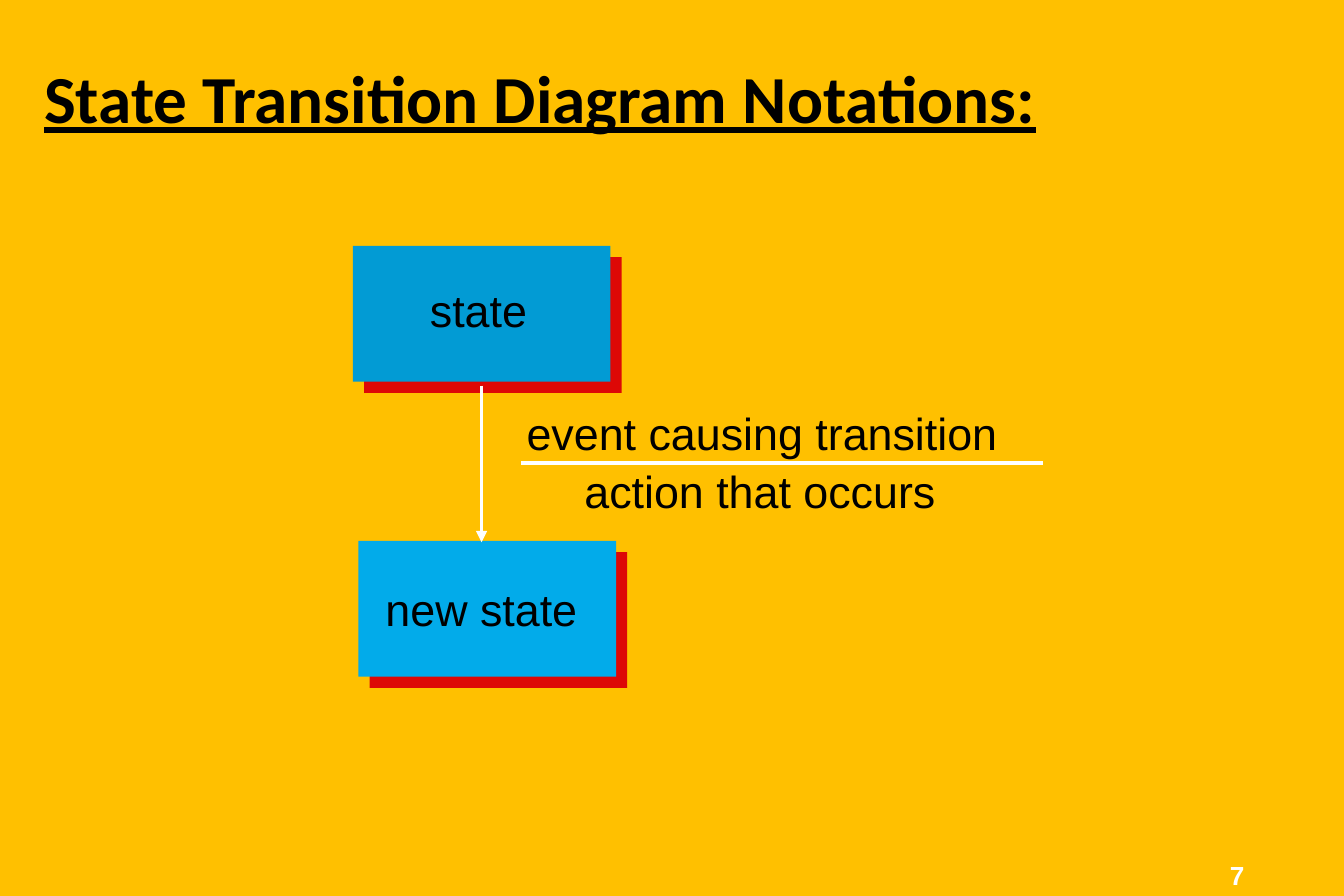
from pptx import Presentation
from pptx.dml.color import RGBColor
from pptx.enum.shapes import MSO_CONNECTOR, MSO_SHAPE
from pptx.enum.text import MSO_ANCHOR
from pptx.oxml import parse_xml
from pptx.oxml.ns import nsdecls
from pptx.util import Inches, Pt

WIDE, HIGH = Pt(720), Pt(480)
CELL = 0.1  # side of one grid cell, inches; the slide is 100 cells wide
BLACK, WHITE, RED = "000000", "FFFFFF", "DD0806"
LABEL = {"name": "Arial", "size": Pt(24)}
TITLE = {"name": "Calibri", "size": Pt(36), "bold": True, "underline": True}
PAGE = {"name": "Arial", "size": Pt(14), "bold": True}


def color(code):
    return RGBColor.from_string(code)


def grid(*cells):
    return [Inches(n * CELL) for n in cells]


class Board:
    """Holds the style and the current slide."""

    def __init__(self, deck, back):
        self.slide = deck.slides.add_slide(deck.slide_layouts[6])
        self.shapes = self.slide.shapes
        fill = self.slide.background.fill
        fill.solid()
        fill.fore_color.rgb = color(back)

    def text(self, words, area, style=LABEL, ink=BLACK, wrap=False,
             space=1.0, pad=(1, 0.5)):
        frame = self.shapes.add_textbox(*grid(*area)).text_frame
        side, edge = grid(*pad)
        format = {"word_wrap": wrap, "vertical_anchor": MSO_ANCHOR.MIDDLE,
                  "margin_left": side, "margin_right": side,
                  "margin_top": edge, "margin_bottom": edge}
        for key, value in format.items():
            setattr(frame, key, value)
        para = frame.paragraphs[0]
        para.line_spacing = space
        run = para.add_run()
        run.text = words
        for key, value in style.items():
            setattr(run.font, key, value)
        run.font.color.rgb = color(ink)

    def box(self, area, paint):
        shape = self.shapes.add_shape(MSO_SHAPE.RECTANGLE, *grid(*area))
        shape.fill.solid()
        shape.fill.fore_color.rgb = color(paint)
        shape.line.fill.background()
        # Hard diagonal shadow
        shape._element.spPr.append(parse_xml(
            f'<a:effectLst {nsdecls("a")}>'
            f'<a:outerShdw dist="{Pt(8.5)}" dir="2700000" algn="ctr" '
            f'rotWithShape="0"><a:srgbClr val="{RED}"/>'
            '</a:outerShdw></a:effectLst>'))

    def line(self, ends, arrow=False):
        link = self.shapes.add_connector(MSO_CONNECTOR.STRAIGHT, *grid(*ends))
        link.line.color.rgb = color(WHITE)
        link.line.width = Pt(2)
        if arrow:
            link.line._get_or_add_ln().append(parse_xml(
                f'<a:tailEnd {nsdecls("a")} type="triangle"/>'))
        link._element.spPr.append(parse_xml(f'<a:effectLst {nsdecls("a")}/>'))


def main():
    deck = Presentation()
    deck.slide_width, deck.slide_height = WIDE, HIGH
    board = Board(deck, "FFC000")

    # Page number and title
    board.text("7", (90.8, 63.9, 10.8, 2.7), PAGE, WHITE, True, 0.9, (0.7, 0.3))
    board.text("State Transition Diagram Notations:", (2.3, 4.45, 82.8, 6.3),
               TITLE, wrap=True, space=0.88)

    # States
    for left, top, paint in ((26.25, 18.3, "029BD4"), (26.67, 40.25, "02ABEA")):
        board.box((left, top, 19.17, 10.1), paint)

    # Transition arrow, and the rule between event and action
    board.line((35.83, 28.7, 35.83, 40.35), arrow=True)
    board.line((38.8, 34.45, 77.6, 34.45))

    # Labels
    for words, left, top, width in (
            ("state", 31, 20.5, 9.2),
            ("new state", 27.7, 42.8, 16.3),
            ("event causing transition", 38.2, 29.7, 37),
            ("action that occurs", 42.5, 34, 28.1)):
        board.text(words, (left, top, width, 5))

    deck.save("out.pptx")


if __name__ == "__main__":
    main()
